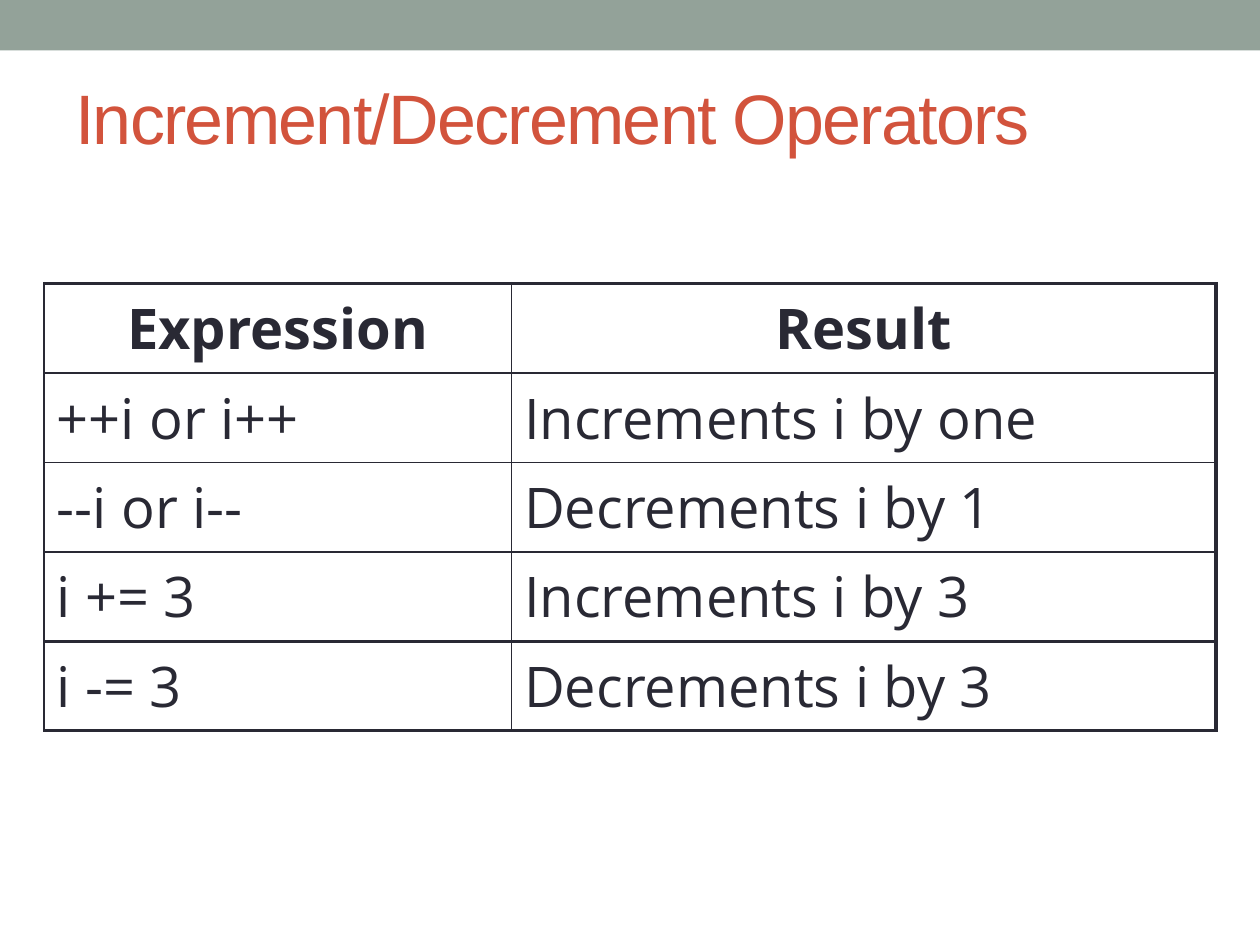
from lxml.etree import SubElement
from pptx import Presentation
from pptx.dml.color import RGBColor
from pptx.enum.shapes import MSO_SHAPE
from pptx.enum.text import MSO_ANCHOR, PP_ALIGN
from pptx.oxml.ns import qn
from pptx.util import Inches, Pt

ROWS = [
    ("Expression", "Result"),
    ("++i or i++", "Increments i by one"),
    ("--i or i--", "Decrements i by 1"),
    ("i += 3", "Increments i by 3"),
    ("i -= 3", "Decrements i by 3"),
]
COLUMN_WIDTHS = (3.71, 5.59)
ROW_HEIGHT = 0.71
THIN, THICK = 1, 2.25


def color(hex_string):
    return RGBColor.from_string(hex_string)


class SlideBuilder:
    band = "93A299"
    accent = "D2533C"
    ink = "292934"
    title_font = "Arial"
    table_font = "Open Sans"

    def __init__(self, slide):
        self.slide = slide

    def format_run(self, run, font_name, size, hex_string, bold=False):
        run.font.name = font_name
        run.font.size = Pt(size)
        run.font.bold = bold
        run.font.color.rgb = color(hex_string)

    def add_band(self, width, height):
        shape = self.slide.shapes.add_shape(
            MSO_SHAPE.RECTANGLE, 0, 0, Inches(width), Inches(height))
        shape.shadow.inherit = False
        shape.fill.solid()
        shape.fill.fore_color.rgb = color(self.band)
        shape.line.fill.background()

    def add_title(self, text, left, top, width, height):
        box = self.slide.shapes.add_textbox(
            Inches(left), Inches(top), Inches(width), Inches(height))
        text_frame = box.text_frame
        text_frame.word_wrap = True
        text_frame.vertical_anchor = MSO_ANCHOR.MIDDLE
        text_frame.text = text
        run = text_frame.paragraphs[0].runs[0]
        self.format_run(run, self.title_font, 40, self.accent)
        run.font._element.set("spc", "-100")

    def add_borders(self, cell, widths):
        """Draw the cell's left, right, top and bottom lines, widths in points."""
        properties = cell._tc.get_or_add_tcPr()
        for position, (side, width) in enumerate(zip("LRTB", widths)):
            line = SubElement(properties, qn(f"a:ln{side}"), w=str(Pt(width)))
            fill = SubElement(line, qn("a:solidFill"))
            SubElement(fill, qn("a:srgbClr"), val=self.ink)
            properties.insert(position, line)

    def add_table(self, rows, left, top):
        row_count, column_count = len(rows), len(COLUMN_WIDTHS)
        table = self.slide.shapes.add_table(
            row_count, column_count, Inches(left), Inches(top),
            Inches(sum(COLUMN_WIDTHS)), Inches(ROW_HEIGHT * row_count)).table
        table.first_row = table.horz_banding = False
        for column, width in zip(table.columns, COLUMN_WIDTHS):
            column.width = Inches(width)
        thick_lines = (0, row_count - 1, row_count)
        for row_index, texts in enumerate(rows):
            table.rows[row_index].height = Inches(ROW_HEIGHT)
            for column_index, text in enumerate(texts):
                cell = table.cell(row_index, column_index)
                cell.fill.background()
                cell.text_frame.text = text
                paragraph = cell.text_frame.paragraphs[0]
                header = row_index == 0
                paragraph.alignment = PP_ALIGN.CENTER if header else PP_ALIGN.LEFT
                self.format_run(
                    paragraph.runs[0], self.table_font, 32, self.ink, header)
                self.add_borders(cell, (
                    THIN,
                    THICK if column_index == column_count - 1 else THIN,
                    THICK if row_index in thick_lines else THIN,
                    THICK if row_index + 1 in thick_lines else THIN,
                ))


def main():
    presentation = Presentation()
    presentation.slide_width = Inches(10)
    presentation.slide_height = Inches(7.5)
    builder = SlideBuilder(
        presentation.slides.add_slide(presentation.slide_layouts[6]))
    builder.add_band(10, 0.4)
    builder.add_title("Increment/Decrement Operators", 0.5, 0.3, 9, 1.25)
    builder.add_table(ROWS, 0.35, 2.25)
    presentation.save("out.pptx")


if __name__ == "__main__":
    main()
